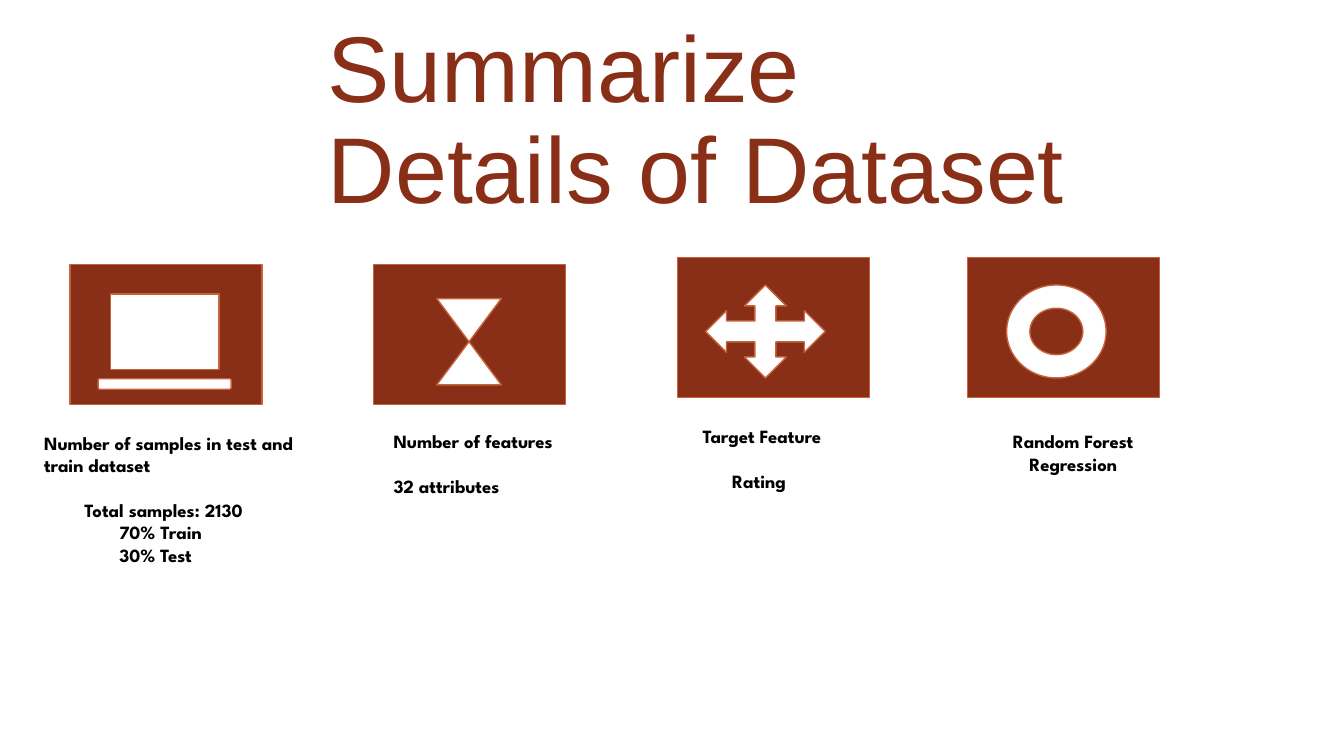
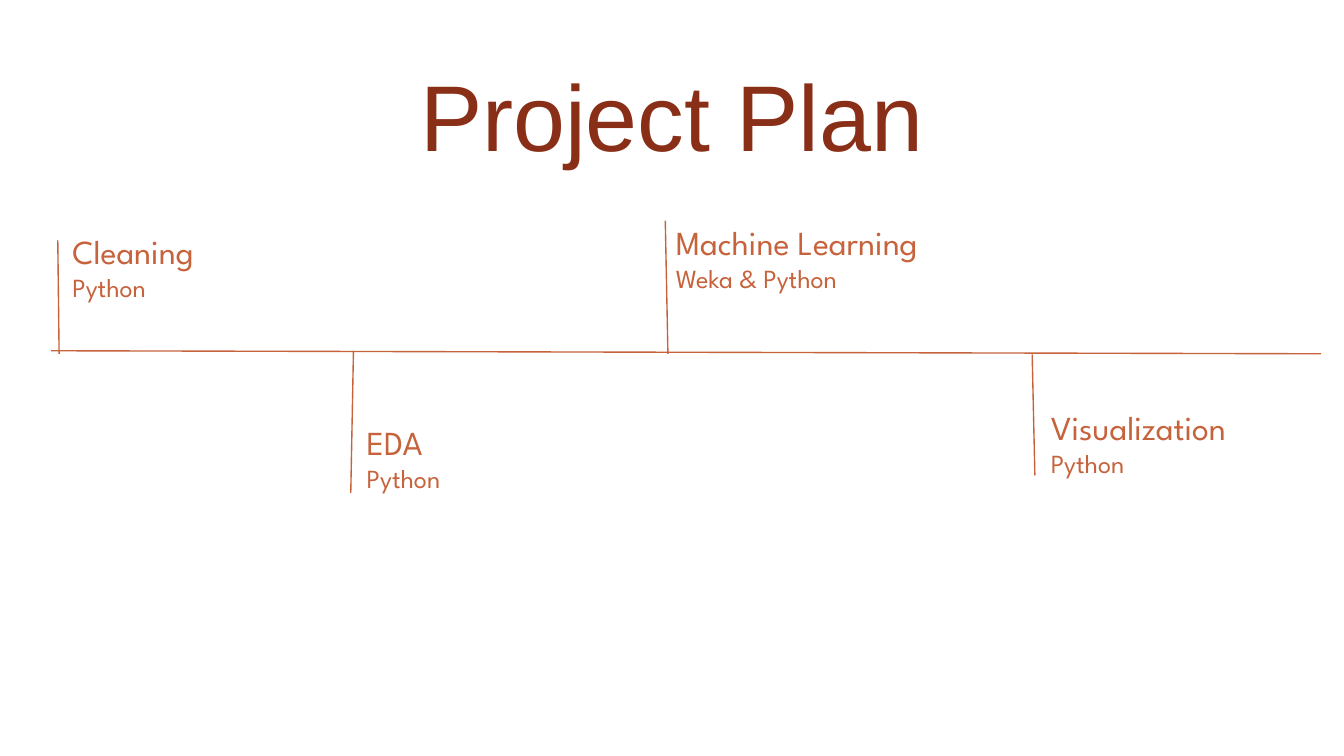
"""Build two slides: a summary of the dataset and the project plan."""
from pptx import Presentation
from pptx.dml.color import RGBColor
from pptx.enum.shapes import MSO_CONNECTOR as Connector, MSO_SHAPE as Shape
from pptx.enum.text import MSO_ANCHOR as Anchor, PP_ALIGN as Align
from pptx.oxml.ns import qn
from pptx.util import Inches, Pt
from lxml import etree

RUST = RGBColor(0x89, 0x2F, 0x18)
COPPER = RGBColor(0xC6, 0x63, 0x3C)
WHITE = RGBColor(0xFF, 0xFF, 0xFF)
BLACK = RGBColor(0x00, 0x00, 0x00)
TITLE_FONT, BODY_FONT = "Arial", "League Spartan"

deck = Presentation()
deck.slide_width, deck.slide_height = Inches(10), Inches(5.625)
COL, ROW = deck.slide_width / 100, deck.slide_height / 100


def add_text(slide, area, lines, font, color, align=Align.LEFT):
    """Each line is (text, size, bold, indent in columns, points before)."""
    left, top, width, height = area
    frame = slide.shapes.add_textbox(
        int(left * COL), int(top * ROW), int(width * COL), int(height * ROW)).text_frame
    frame.word_wrap = True
    frame.margin_left = frame.margin_right = Inches(0.1)
    frame.margin_top = frame.margin_bottom = Inches(0.1)
    frame.text = "\n".join(line[0] for line in lines)
    for paragraph, (_, size, bold, indent, before) in zip(frame.paragraphs, lines):
        paragraph.alignment = align
        if indent:
            paragraph._p.get_or_add_pPr().set("marL", str(int(indent * COL)))
        if before:
            paragraph.space_before = Pt(before)
        for run in paragraph.runs:
            run.font.name, run.font.size, run.font.bold = font, Pt(size), bold
            run.font.color.rgb = color
    return frame


def add_block(slide, preset, area, fill):
    """Add a filled preset shape with a thin copper outline."""
    left, top, width, height = area
    block = slide.shapes.add_shape(
        preset, int(left * COL), int(top * ROW), int(width * COL), int(height * ROW))
    block.shadow.inherit = False
    block.fill.solid()
    block.fill.fore_color.rgb = fill
    block.line.color.rgb = COPPER
    block.line.width = Pt(0.75)


titles = [
    ("Summarize Details of Dataset", (23.4, 10.7, 58.1, 11), Align.LEFT),
    ("Project Plan", (7.8, 10.5, 84.4, 11.2), Align.CENTER),
]
slides = []
for title, area, align in titles:
    slide = deck.slides.add_slide(deck.slide_layouts[6])
    heading = add_text(slide, area, [(title, 50, False, 0, 0)], TITLE_FONT, RUST, align)
    heading.vertical_anchor = Anchor.MIDDLE
    heading.paragraphs[0].line_spacing = 0.9
    slides.append(slide)
summary, plan = slides

TILE_WIDTH, TILE_HEIGHT = 14.3, 18.5
details = [
    ((5.2, 35),
     [(Shape.RECTANGLE, (8.2, 38.9, 8.1, 10)),
      (Shape.ROUNDED_RECTANGLE, (7.3, 50.1, 9.9, 1.4))],
     (2.3, 55.3, 22.1, 21.5), Align.LEFT,
     [("Number of samples in test and train dataset", 0, 0),
      ("Total samples: 2130", 3, 12), ("70% Train", 5.6, 0), ("30% Test", 5.6, 0)]),
    ((27.8, 35),
     [(Shape.FLOWCHART_COLLATE, (32.5, 39.5, 4.8, 11.4))],
     (28.3, 55.1, 14.7, 15.6), Align.LEFT,
     [("Number of features", 0, 0), ("32 attributes", 0, 12)]),
    ((50.4, 34.1),
     [(Shape.QUAD_ARROW, (52.5, 37.7, 8.9, 12.3))],
     (51.3, 54.4, 13.4, 12.6), Align.LEFT,
     [("Target Feature", 0, 0), ("Rating", 2.2, 12)]),
    ((72, 34.1),
     [(Shape.DONUT, (74.9, 37.7, 7.4, 12.3))],
     (72, 55.1, 15.7, 9.6), Align.CENTER,
     [("Random Forest Regression", 0, 0)]),
]
for corner, icon, caption_area, align, caption in details:
    add_block(summary, Shape.RECTANGLE, (*corner, TILE_WIDTH, TILE_HEIGHT), RUST)
    for preset, area in icon:
        add_block(summary, preset, area, WHITE)
    lines = [(text, 10, True, indent, before) for text, indent, before in caption]
    add_text(summary, caption_area, lines, BODY_FONT, BLACK, align)

STEP_HEIGHT = 13.2
timeline = (3.8, 46.4, 98.3, 46.8)
steps = [
    ("Cleaning", "Python", (4.4, 46.8, 4.3, 31.8), (4.4, 28.8, 15)),
    ("EDA", "Python", (26.3, 46.4, 26.1, 65.2), (26.3, 54, 15)),
    ("Machine Learning", "Weka & Python", (49.7, 46.8, 49.5, 29.2), (49.3, 27.6, 21.6)),
    ("Visualization", "Python", (76.8, 46.9, 77, 62.9), (77.2, 52.1, 17.4)),
]
for x1, y1, x2, y2 in [timeline] + [step[2] for step in steps]:
    stroke = plan.shapes.add_connector(
        Connector.STRAIGHT, int(x1 * COL), int(y1 * ROW), int(x2 * COL), int(y2 * ROW))
    stroke.line.color.rgb = COPPER
    stroke.line.width = Pt(0.75)
    etree.SubElement(stroke._element.spPr, qn("a:effectLst"))
for stage, tools, _, area in steps:
    lines = [(stage, 18, False, 0, 0), (tools, 14, False, 0, 0)]
    add_text(plan, (*area, STEP_HEIGHT), lines, BODY_FONT, COPPER)

deck.save("out.pptx")
